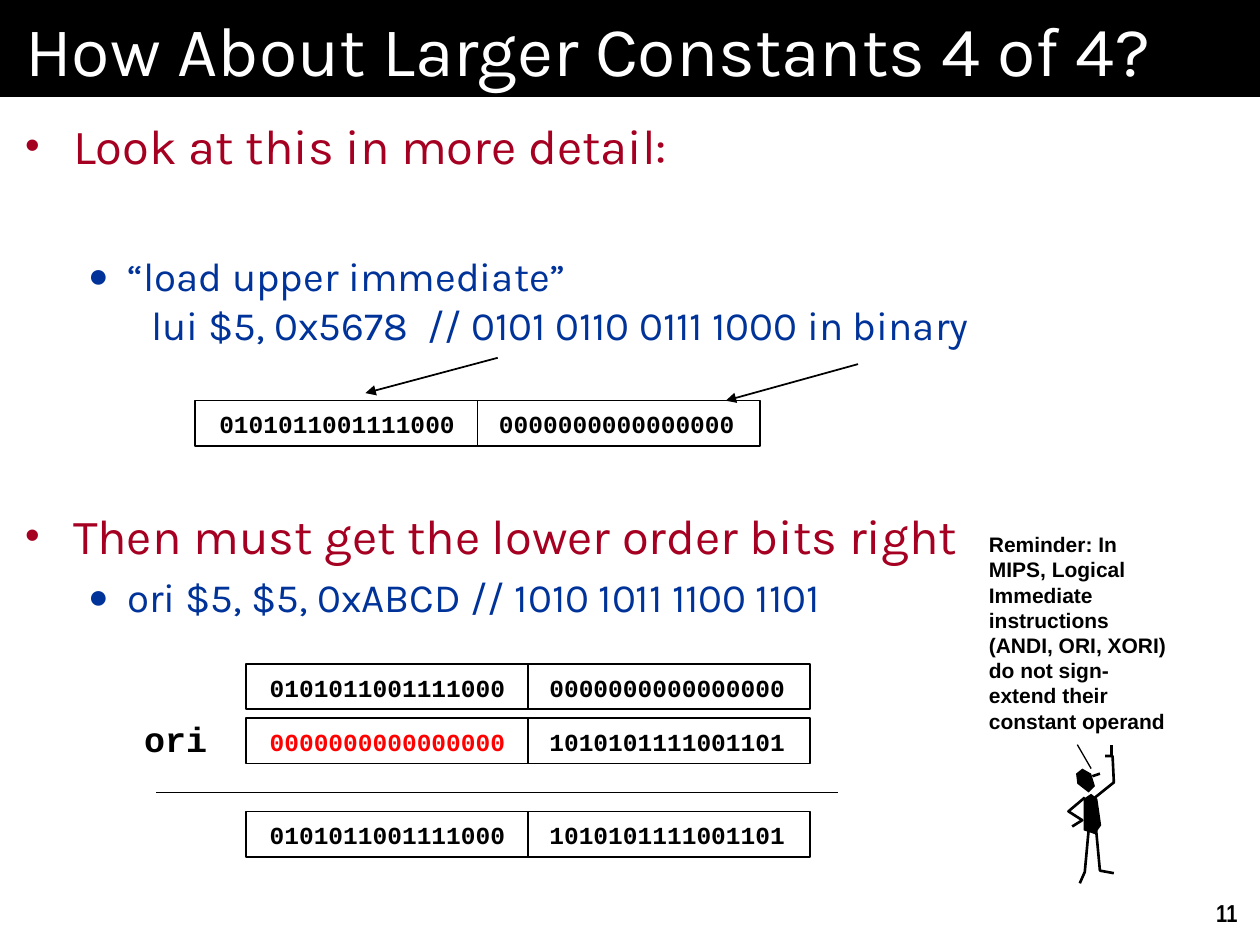
from lxml import etree
from pptx import Presentation
from pptx.dml.color import RGBColor
from pptx.enum.shapes import MSO_CONNECTOR, MSO_SHAPE
from pptx.enum.text import MSO_ANCHOR, PP_ALIGN
from pptx.oxml.ns import qn
from pptx.util import Emu, Pt

RECTANGLE = MSO_SHAPE.RECTANGLE
STRAIGHT = MSO_CONNECTOR.STRAIGHT
TOP, MIDDLE = MSO_ANCHOR.TOP, MSO_ANCHOR.MIDDLE
LEFT, CENTER, RIGHT = PP_ALIGN.LEFT, PP_ALIGN.CENTER, PP_ALIGN.RIGHT

SCALE = 9144  # EMU per px, 100 px to the inch
COLORS = {"black": "000000", "white": "FFFFFF", "topic": "A50021",
          "detail": "003399", "mask": "FF0000"}

# Content
TITLE = "How About Larger Constants 4 of 4?"
REMINDER = ("Reminder: In MIPS, Logical Immediate instructions (ANDI, ORI, XORI) "
            "do not sign-extend their constant operand")
PAGE_NUMBER = "11"

LEVELS = {
    "topic": {"bullet": "•", "size": 28, "margin": 38, "hanging": 38},
    "detail": {"bullet": "●", "size": 23, "margin": 81, "hanging": 31},
}
# level, space before in points, lines
OUTLINE = [
    ("topic", 5.6, ["Look at this in more detail:"]),
    ("detail", 44, ["“load upper immediate”",
                    "\tlui $5, 0x5678  // 0101 0110 0111 1000 in binary"]),
    ("topic", 90, ["Then must get the lower order bits right"]),
    ("detail", 4.6, ["ori $5, $5, 0xABCD // 1010 1011 1100 1101"]),
]

UPPER, LOWER, ZERO = "0101011001111000", "1010101111001101", "0" * 16
# left, top, (bits, color) of each half
REGISTERS = [
    (155, 318, [(UPPER, "black"), (ZERO, "black")]),
    (195, 527, [(UPPER, "black"), (ZERO, "black")]),
    (195, 570, [(ZERO, "mask"), (LOWER, "black")]),
    (195, 644, [(UPPER, "black"), (LOWER, "black")]),
]
HALF_WIDTH, HALF_HEIGHT = 224, 36
BITS_INDENT, BITS_RISE = 17, 2

# start, end, width in points, arrowhead
LINES = [
    ((395, 284), (290, 312), 1, True),
    ((681, 289), (576, 318), 1, True),
    ((124, 629), (665, 629), 1, False),
    ((866, 610), (855, 591), 0.75, False),
]

# Pointing figure: solid parts, and limbs as open strokes
SOLIDS = [
    [(866, 614), (859, 610), (854, 614), (855, 622), (864, 629), (869, 624)],
    [(871, 634), (866, 630), (860, 634), (860, 659), (869, 662), (874, 655)],
]
STROKES = [
    [(867, 616), (873, 614)],
    [(869, 633), (884, 621), (883, 600), (877, 600)],
    [(882, 600), (882, 591)],
    [(861, 633), (848, 644), (859, 651), (851, 656)],
    [(864, 659), (861, 692), (857, 701)],
    [(870, 659), (873, 691), (884, 693)],
]
STROKE_WIDTH = 1.5


def px(value):
    return Emu(value * SCALE)


def rgb(name):
    return RGBColor.from_string(COLORS[name])


def add_run(paragraph, text, font, size, color, bold=False):
    run = paragraph.add_run()
    run.text = text
    run.font.name, run.font.size, run.font.bold = font, Pt(size), bold
    run.font.color.rgb = rgb(color)


def set_frame(shape, insets, anchor=TOP):
    frame = shape.text_frame
    frame.word_wrap = True
    frame.vertical_anchor = anchor
    frame.margin_left = frame.margin_right = px(insets[0])
    frame.margin_top = frame.margin_bottom = px(insets[1])
    return frame


def add_text(slide, box, insets, text, font, size, color="black", align=LEFT,
             line_spacing=None, space=None):
    frame = set_frame(slide.shapes.add_textbox(*map(px, box)), insets)
    paragraph = frame.paragraphs[0]
    paragraph.alignment = align
    if line_spacing:
        paragraph.line_spacing = Pt(line_spacing)
    if space:
        paragraph.space_before = paragraph.space_after = Pt(space)
    add_run(paragraph, text, font, size, color, bold=True)


def paint(shape, fill=None, line_width=None):
    shape.shadow.inherit = False
    if fill:
        shape.fill.solid()
        shape.fill.fore_color.rgb = rgb(fill)
    else:
        shape.fill.background()
    if line_width:
        shape.line.color.rgb = rgb("black")
        shape.line.width = Pt(line_width)
    else:
        shape.line.fill.background()


def add_box(slide, box, fill=None, line_width=None):
    shape = slide.shapes.add_shape(RECTANGLE, *map(px, box))
    paint(shape, fill, line_width)
    return shape


def set_bullet(paragraph, level, color):
    properties = paragraph._p.get_or_add_pPr()
    properties.set("marL", str(px(level["margin"])))
    properties.set("indent", str(-px(level["hanging"])))
    bullet_color = etree.SubElement(properties, qn("a:buClr"))
    etree.SubElement(bullet_color, qn("a:srgbClr"), val=COLORS[color])
    etree.SubElement(properties, qn("a:buSzPct"), val="85000")
    etree.SubElement(properties, qn("a:buFont"), typeface="Arial")
    etree.SubElement(properties, qn("a:buChar"), char=level["bullet"])


def add_outline(slide):
    frame = set_frame(slide.shapes.add_textbox(*map(px, (0, 77, 1000, 673))), (20, 15))
    for index, (name, space_before, lines) in enumerate(OUTLINE):
        paragraph = frame.add_paragraph() if index else frame.paragraphs[0]
        paragraph.space_before = Pt(space_before)
        set_bullet(paragraph, LEVELS[name], name)
        for number, line in enumerate(lines):
            if number:
                paragraph.add_line_break()
            add_run(paragraph, line, "Karla", LEVELS[name]["size"], name)


def add_line(slide, start, end, width, arrow):
    connector = slide.shapes.add_connector(STRAIGHT, *map(px, start + end))
    connector.line.color.rgb = rgb("black")
    connector.line.width = Pt(width)
    properties = connector._element.spPr
    if arrow:
        etree.SubElement(properties.find(qn("a:ln")), qn("a:tailEnd"), type="triangle")
    etree.SubElement(properties, qn("a:effectLst"))


def add_outlines(slide, outlines, close, fill=None, line_width=None):
    for points in outlines:
        builder = slide.shapes.build_freeform(*points[0], scale=SCALE)
        builder.add_line_segments(points[1:], close=close)
        paint(builder.convert_to_shape(), fill, line_width)


def main():
    presentation = Presentation()
    presentation.slide_width, presentation.slide_height = px(1000), px(750)
    slide = presentation.slides.add_slide(presentation.slide_layouts[6])

    # Title bar and outline
    title = set_frame(add_box(slide, (0, 0, 1000, 77), fill="black"), (20, 5), MIDDLE)
    title.paragraphs[0].alignment = LEFT
    add_run(title.paragraphs[0], TITLE, "Karla", 40, "white")
    add_outline(slide)

    # Registers, each in two halves
    for left, top, halves in REGISTERS:
        for column, (bits, color) in enumerate(halves):
            x = left + column * HALF_WIDTH
            add_box(slide, (x, top, HALF_WIDTH, HALF_HEIGHT), line_width=1)
            add_text(slide, (x + BITS_INDENT - 2 * column, top - BITS_RISE, 222, 59), (2, 3),
                     bits, "Courier New", 14, color, line_spacing=21, space=6)
    add_text(slide, (77, 578, 125, 46), (2, 3), "ori", "Courier New", 20,
             align=CENTER, line_spacing=16)

    # Arrows, sum line and figure
    for line in LINES:
        add_line(slide, *line)
    add_outlines(slide, SOLIDS, close=True, fill="black")
    add_outlines(slide, STROKES, close=False, line_width=STROKE_WIDTH)

    # Reminder and page number
    add_text(slide, (775, 417, 168, 172), (10, 5), REMINDER, "Arial", 12)
    add_text(slide, (950, 708, 42, 33), (10, 5), PAGE_NUMBER, "Arial Narrow", 14, align=RIGHT)
    presentation.save("out.pptx")


if __name__ == "__main__":
    main()
